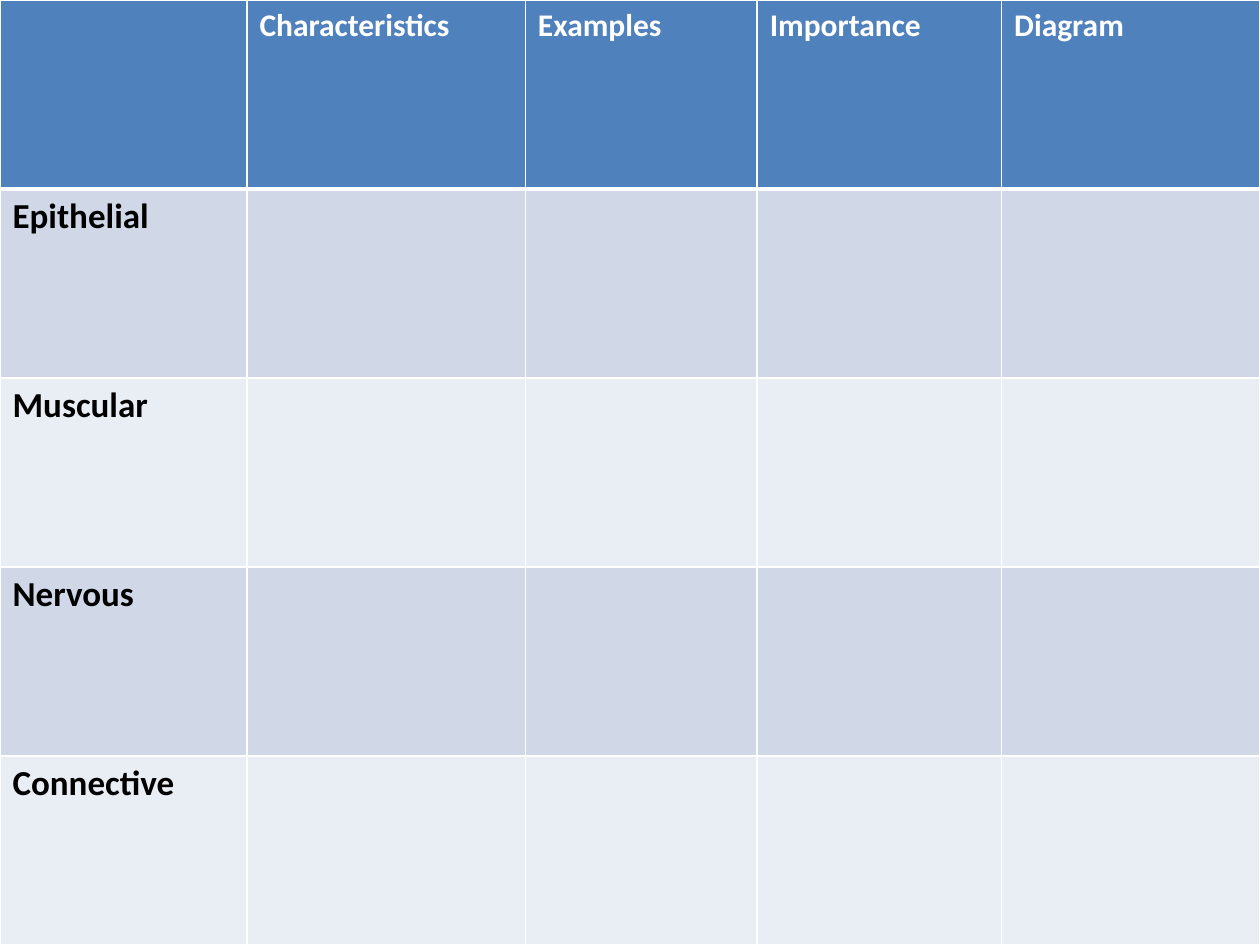
from pptx import Presentation
from pptx.dml.color import RGBColor
from pptx.oxml.ns import qn
from pptx.util import Inches, Pt
from lxml.etree import SubElement

HEADINGS = ["", "Characteristics", "Examples", "Importance", "Diagram"]
TISSUES = ["Epithelial", "Muscular", "Nervous", "Connective"]
COLUMN_WIDTHS = [1.96, 2.21, 1.84, 1.94, 2.05]
ROW_HEIGHT = 1.5


def color(value):
    return RGBColor.from_string(value)


def write(para, text, size, ink, font, bold=False):
    span = para.add_run()
    span.text = text
    span.font.name = font
    span.font.size = Pt(size)
    span.font.bold = bold
    span.font.color.rgb = color(ink)


class TissueSlide:
    font = "Calibri"
    background = "EEECE1"
    header_fill = "4F81BD"
    band_fills = ["D0D8E8", "E9EDF4"]
    rule = "FFFFFF"

    def __init__(self, deck):
        self.page = deck.slides.add_slide(deck.slide_layouts[6])
        fill = self.page.background.fill
        fill.solid()
        fill.fore_color.rgb = color(self.background)

    def borders(self, cell, top=1, bottom=1):
        """Draw the cell's four edges, with widths in points."""
        properties = cell._tc.get_or_add_tcPr()
        edges = {"lnL": 1, "lnR": 1, "lnT": top, "lnB": bottom}
        for place, (tag, width) in enumerate(edges.items()):
            line = SubElement(properties, qn(f"a:{tag}"), w=str(Pt(width)))
            properties.insert(place, line)  # edges must come before the fill
            solid = SubElement(line, qn("a:solidFill"))
            SubElement(solid, qn("a:srgbClr"), val=self.rule)

    def cell(self, cell, text, fill, size, ink, **edges):
        cell.fill.solid()
        cell.fill.fore_color.rgb = color(fill)
        self.borders(cell, **edges)
        if text:
            write(cell.text_frame.paragraphs[0], text, size, ink, self.font, bold=True)

    def table(self, headings, labels, widths, row_height):
        rows = len(labels) + 1
        table = self.page.shapes.add_table(
            rows, len(headings), Inches(0), Inches(0),
            Inches(sum(widths)), Inches(row_height * rows)).table
        for column, width in zip(table.columns, widths):
            column.width = Inches(width)
        for row in table.rows:
            row.height = Inches(row_height)

        for column, heading in enumerate(headings):
            self.cell(table.cell(0, column), heading, self.header_fill, 18, "FFFFFF", bottom=3)
        for row, label in enumerate(labels, start=1):
            fill = self.band_fills[(row - 1) % 2]
            for column in range(len(headings)):
                self.cell(table.cell(row, column), label if column == 0 else "",
                          fill, 20, "000000", top=3 if row == 1 else 1)


def main():
    deck = Presentation()
    deck.slide_width = Inches(10)
    deck.slide_height = Inches(7.5)
    TissueSlide(deck).table(HEADINGS, TISSUES, COLUMN_WIDTHS, ROW_HEIGHT)
    deck.save("out.pptx")


if __name__ == "__main__":
    main()
